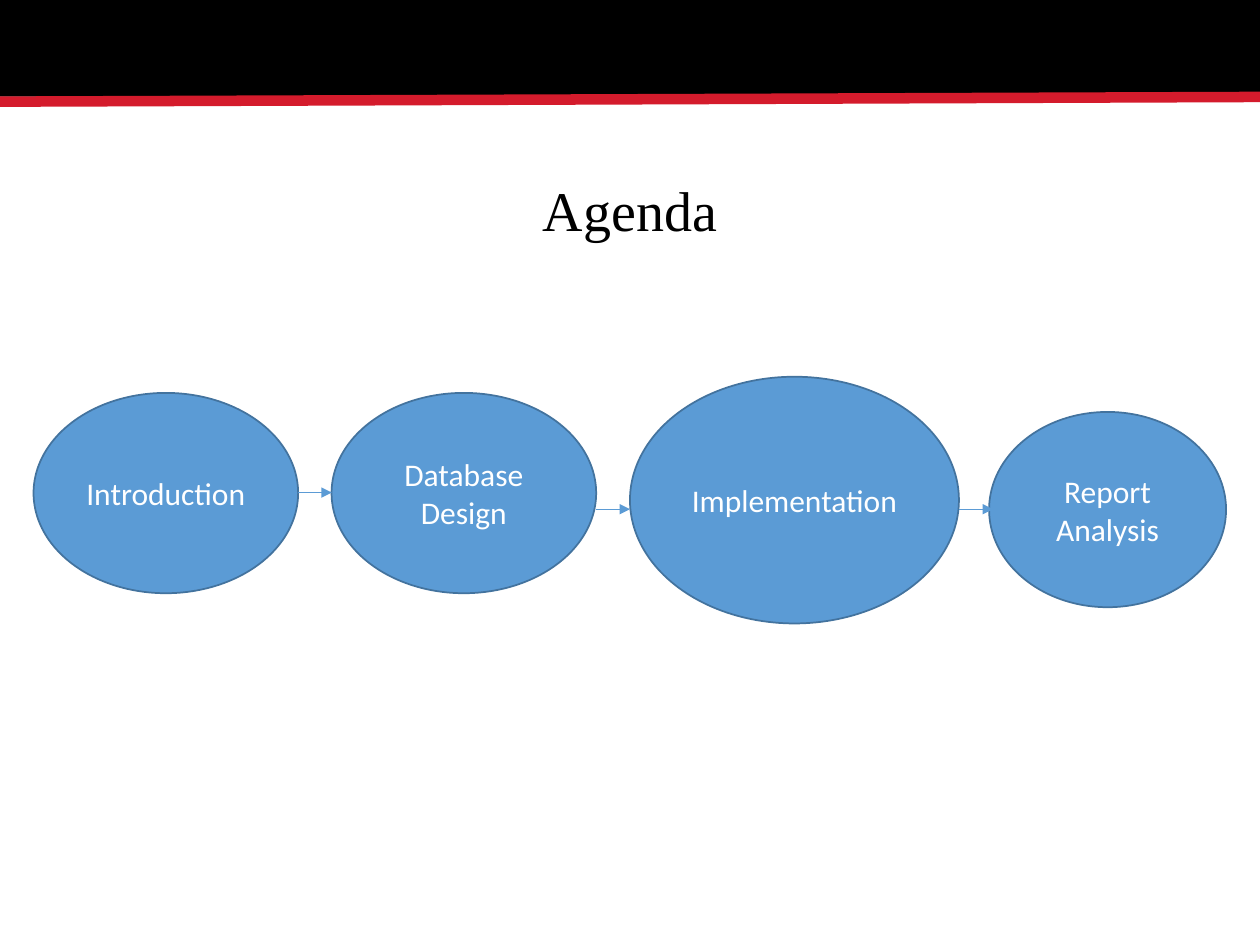
from dataclasses import dataclass

from lxml.etree import SubElement
from pptx import Presentation
from pptx.dml.color import RGBColor
from pptx.enum.shapes import MSO_CONNECTOR as CONN, MSO_SHAPE as SHAPE
from pptx.enum.text import MSO_ANCHOR as ANCHOR, PP_ALIGN as ALIGN
from pptx.oxml.ns import qn
from pptx.util import Pt

BLACK = RGBColor(0x00, 0x00, 0x00)
WHITE = RGBColor(0xFF, 0xFF, 0xFF)
RED = RGBColor(0xD4, 0x1B, 0x2C)
BLUE = RGBColor(0x5B, 0x9B, 0xD5)
DARK_BLUE = RGBColor(0x43, 0x73, 0x9E)


@dataclass
class Step:
    label: str
    left: float
    top: float
    width: float
    height: float


@dataclass
class Arrow:
    left: float
    y: float


STEPS = [
    Step("Introduction", 19.2, 224.5, 151.2, 114.5),
    Step("Database Design", 189.5, 224.5, 151.2, 114.5),
    Step("Implementation", 360, 215.3, 188, 141),
    Step("Report Analysis", 565.2, 235.4, 135.4, 111.6),
]
ARROW_LENGTH = 19.4
ARROWS = [Arrow(170.2, 281.5), Arrow(340.6, 291), Arrow(548, 291)]


def style_text(tf, size: float, font: str, color: RGBColor) -> None:
    for p in tf.paragraphs:
        p.alignment = ALIGN.CENTER
        for r in p.runs:
            r.font.size = Pt(size)
            r.font.name = font
            r.font.color.rgb = color


def add_line(s, x1: float, y1: float, x2: float, y2: float,
             color: RGBColor, width: float, arrow: bool = False) -> None:
    line = s.shapes.add_connector(CONN.STRAIGHT, Pt(x1), Pt(y1), Pt(x2), Pt(y2))
    line.line.color.rgb = color
    line.line.width = Pt(width)
    if arrow:
        SubElement(line.line._get_or_add_ln(), qn("a:tailEnd"), type="triangle")
    SubElement(line._element.spPr, qn("a:effectLst"))


def add_step(s, step: Step) -> None:
    sp = s.shapes.add_shape(SHAPE.OVAL, Pt(step.left), Pt(step.top),
                            Pt(step.width), Pt(step.height))
    sp.shadow.inherit = False
    sp.fill.solid()
    sp.fill.fore_color.rgb = BLUE
    sp.line.color.rgb = DARK_BLUE
    sp.line.width = Pt(1)
    tf = sp.text_frame
    tf.word_wrap = True
    tf.vertical_anchor = ANCHOR.MIDDLE
    tf.text = step.label
    style_text(tf, 18, "Calibri", WHITE)


prs = Presentation()
prs.slide_width, prs.slide_height = Pt(720), Pt(540)
s = prs.slides.add_slide(prs.slide_layouts[5])

# Header band with its red edge
band = s.shapes.add_shape(SHAPE.RECTANGLE, 0, 0, Pt(720), Pt(55.2))
band.shadow.inherit = False
band.fill.solid()
band.fill.fore_color.rgb = BLACK
band.line.fill.background()
add_line(s, 720, 55.4, 0, 58.1, RED, 6)

# Title
title = s.shapes.title
title.left, title.top, title.width, title.height = Pt(49.7), Pt(100.8), Pt(620.6), Pt(62)
tf = title.text_frame
tf.text = "Agenda"
tf.vertical_anchor = ANCHOR.TOP
tf.paragraphs[0].line_spacing = 0.9
tf.paragraphs[0].space_before = Pt(10)
style_text(tf, 32, "Times New Roman", BLACK)

# Agenda steps and the arrows between them
for step in STEPS:
    add_step(s, step)
for arrow in ARROWS:
    add_line(s, arrow.left, arrow.y, arrow.left + ARROW_LENGTH, arrow.y, BLUE, 0.5, arrow=True)

prs.save("out.pptx")
